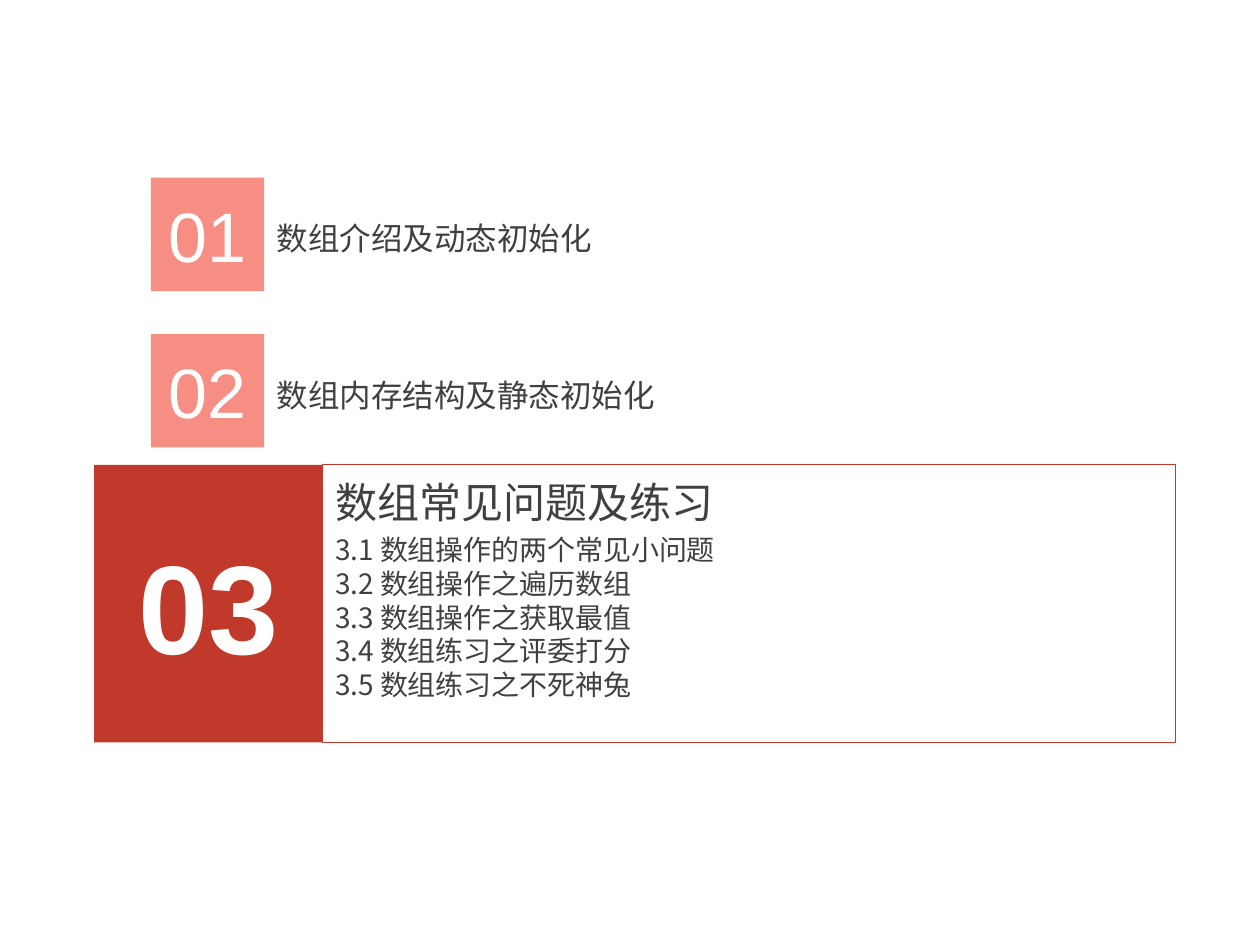
from lxml.etree import SubElement
from pptx import Presentation
from pptx.dml.color import RGBColor
from pptx.enum.shapes import MSO_SHAPE
from pptx.enum.text import MSO_ANCHOR, PP_ALIGN
from pptx.oxml.ns import qn
from pptx.util import Pt

COLORS = {"red": "C0392B", "coral": "F47264", "white": "FFFFFF", "text": "404040"}
NUMBER_FONT = "Arial"
TEXT_FONT = "Noto Sans CJK SC"


class Agenda:
    """Holds the style, the slide and the group being filled."""

    def __init__(self, slide):
        """Keep the slide to draw on."""
        self.slide = slide
        self.group = None

    def start_group(self):
        """Collect the following elements in a new group."""
        self.group = self.slide.shapes.add_group_shape()

    def add_styled_run(self, paragraph, text, font, size, color, bold=False):
        """Add one styled run to a paragraph."""
        run = paragraph.add_run()
        run.text = text
        run.font.name = font
        run.font.size = Pt(size)
        run.font.bold = bold
        run.font.color.rgb = RGBColor.from_string(COLORS[color])
        if font == TEXT_FONT:
            SubElement(run.font._element, qn("a:ea"), typeface=font)

    def rectangle(self, box):
        """Add a plain rectangle without shadow."""
        lengths = [Pt(length) for length in box]
        shape = self.group.shapes.add_shape(MSO_SHAPE.RECTANGLE, *lengths)
        shape.shadow.inherit = False
        return shape

    def number(self, box, text, size, color, opacity=100, bold=False):
        """Add a filled tile with a centred number."""
        shape = self.rectangle(box)
        shape.fill.solid()
        shape.fill.fore_color.rgb = RGBColor.from_string(COLORS[color])
        shape.line.fill.background()
        if opacity < 100:
            fill_color = shape._element.spPr.find(qn("a:solidFill"))[0]
            SubElement(fill_color, qn("a:alpha"), val=str(opacity * 1000))
        frame = shape.text_frame
        frame.vertical_anchor = MSO_ANCHOR.MIDDLE
        paragraph = frame.paragraphs[0]
        paragraph.alignment = PP_ALIGN.CENTER
        self.add_styled_run(paragraph, text, NUMBER_FONT, size, "white", bold)

    def frame(self, box, color):
        """Add a thin outline."""
        shape = self.rectangle(box)
        shape.fill.background()
        shape.line.color.rgb = RGBColor.from_string(COLORS[color])
        shape.line.width = Pt(0.5)

    def text(self, box, lines, size, spacing, top_inset=3.6):
        """Add a text box with one paragraph per line."""
        shape = self.group.shapes.add_textbox(*[Pt(length) for length in box])
        frame = shape.text_frame
        frame.word_wrap = True
        frame.margin_top = Pt(top_inset)
        for index, line in enumerate(lines):
            paragraph = frame.add_paragraph() if index else frame.paragraphs[0]
            paragraph.line_spacing = Pt(size * spacing)
            self.add_styled_run(paragraph, line, TEXT_FONT, size, "text")


presentation = Presentation()
presentation.slide_width, presentation.slide_height = Pt(720), Pt(540)
agenda = Agenda(presentation.slides.add_slide(presentation.slide_layouts[6]))

# Current chapter
left, top, tile_width, height = 53.8, 265.6, 130.6, 158.6
body_left = left + tile_width
topics = ["操作的两个常见小问题", "操作之遍历数组", "操作之获取最值",
          "练习之评委打分", "练习之不死神兔"]
agenda.start_group()
agenda.number((left, top, tile_width, height), "03", 72, "red", bold=True)
agenda.text((body_left, top, 233, 94), ["数组常见问题及练习"], 24, 1.32)
agenda.text((body_left, top + 34, 551.5, 124),
            [f"3.{index} 数组{topic}" for index, topic in enumerate(topics, 1)],
            16, 1.2, top_inset=5)
agenda.frame((body_left, top, 487.5, height), "red")

# Other chapters
tile, tile_left, first_top, step = 64.8, 86.2, 101.6, 89.3
chapters = [("数组介绍及动态初始化", 197), ("数组内存结构及静态初始化", 233)]
for index, (title, width) in enumerate(chapters):
    tile_top = first_top + index * step
    agenda.start_group()
    agenda.number((tile_left, tile_top, tile, tile), f"{index + 1:02}", 40, "coral", opacity=80)
    agenda.text((tile_left + tile, tile_top + 18, width, 51), [title], 18, 1.32)

presentation.save("out.pptx")
